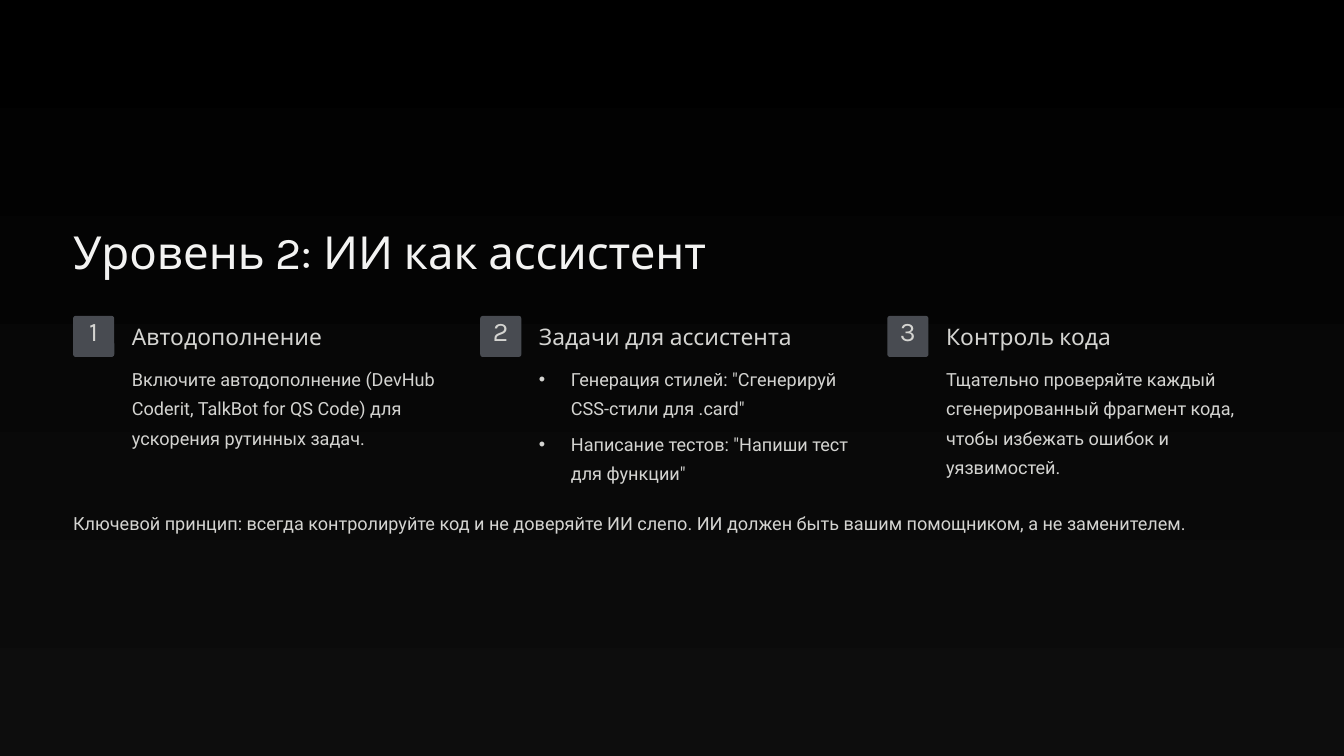
from dataclasses import dataclass

from lxml.etree import SubElement
from pptx import Presentation
from pptx.dml.color import RGBColor
from pptx.enum.shapes import MSO_SHAPE
from pptx.enum.text import MSO_ANCHOR, MSO_AUTO_SIZE, PP_ALIGN
from pptx.oxml.ns import qn
from pptx.shapes.base import BaseShape
from pptx.slide import Slide
from pptx.util import Inches, Pt


@dataclass(frozen=True)
class TextStyle:
    font: str
    size: float
    line: float
    color: str


@dataclass(frozen=True)
class Theme:
    top: str = "000000"
    bottom: str = "0D0D0D"
    badge: str = "484B51"
    title: TextStyle = TextStyle("Karla", 39, 48.5, "F3F3F2")
    number: TextStyle = TextStyle("Karla", 23, 23, "D4D4D1")
    heading: TextStyle = TextStyle("Karla", 19.5, 24, "D4D4D1")
    body: TextStyle = TextStyle("Roboto", 15.5, 25, "D4D4D1")


@dataclass(frozen=True)
class Step:
    heading: str
    lines: tuple[str, ...]
    bulleted: bool = False


THEME = Theme()

# Grid in inches: three equal columns between the side margins
WIDTH, HEIGHT = 16, 9
MARGIN = 0.87
CONTENT = WIDTH - 2 * MARGIN
GUTTER = 0.28
COLUMN = (CONTENT - 2 * GUTTER) / 3
BADGE = 0.49
TEXT_INDENT = 0.7
BULLET_INDENT = 0.38
TITLE_ROW, BADGE_ROW, HEADING_ROW, BODY_ROW, PRINCIPLE_ROW = 2.64, 3.76, 3.83, 4.3, 6.01

TITLE = "Уровень 2: ИИ как ассистент"
STEPS = (
    Step("Автодополнение",
         ("Включите автодополнение (DevHub Coderit, TalkBot for QS Code) "
          "для ускорения рутинных задач.",)),
    Step("Задачи для ассистента",
         ('Генерация стилей: "Сгенерируй CSS-стили для .card"',
          'Написание тестов: "Напиши тест для функции"'), bulleted=True),
    Step("Контроль кода",
         ("Тщательно проверяйте каждый сгенерированный фрагмент кода, "
          "чтобы избежать ошибок и уязвимостей.",)),
)
PRINCIPLE = ("Ключевой принцип: всегда контролируйте код и не доверяйте ИИ слепо. "
             "ИИ должен быть вашим помощником, а не заменителем.")


def place(shape: BaseShape, left: float, top: float, width: float, height: float) -> None:
    shape.left, shape.top = Inches(left), Inches(top)
    shape.width, shape.height = Inches(width), Inches(height)


def write(shape: BaseShape, *lines: str, style: TextStyle, align: PP_ALIGN = PP_ALIGN.LEFT,
          bulleted: bool = False, inset_top: float = 0) -> None:
    """Fill a shape with paragraphs in one style."""
    frame = shape.text_frame
    frame.word_wrap = True
    frame.auto_size = MSO_AUTO_SIZE.NONE
    frame.vertical_anchor = MSO_ANCHOR.TOP
    frame.margin_left = frame.margin_right = frame.margin_bottom = 0
    frame.margin_top = Inches(inset_top)
    for index, line in enumerate(lines):
        paragraph = frame.add_paragraph() if index else frame.paragraphs[0]
        paragraph.alignment = align
        paragraph.line_spacing = Pt(style.line)
        paragraph.space_before = Pt(5.5 if index else 0)
        paragraph.space_after = Pt(0)
        run = paragraph.add_run()
        run.text = line
        run.font.name, run.font.size, run.font.bold = style.font, Pt(style.size), False
        run.font.color.rgb = RGBColor.from_string(style.color)
        # Bullet and hanging indent
        properties = paragraph._p.get_or_add_pPr()
        indent = Inches(BULLET_INDENT) if bulleted else 0
        properties.set("marL", str(indent))
        properties.set("indent", str(-indent))
        if bulleted:
            SubElement(properties, qn("a:buChar")).set("char", "•")
        else:
            SubElement(properties, qn("a:buNone"))


def paint_background(slide: Slide) -> None:
    fill = slide.background.fill
    fill.gradient()
    fill.gradient_angle = 270
    for stop, color, position in zip(fill.gradient_stops, (THEME.top, THEME.bottom), (0, 1)):
        stop.color.rgb = RGBColor.from_string(color)
        stop.position = position


def draw_step(slide: Slide, number: int, step: Step, body: BaseShape) -> None:
    left = MARGIN + (number - 1) * (COLUMN + GUTTER)
    text_left, text_width = left + TEXT_INDENT, COLUMN - TEXT_INDENT

    # Numbered badge
    badge = slide.shapes.add_shape(MSO_SHAPE.ROUNDED_RECTANGLE, 0, 0, 0, 0)
    place(badge, left, BADGE_ROW, BADGE, BADGE)
    badge.adjustments[0] = 0.067
    badge.shadow.inherit = False
    badge.fill.solid()
    badge.fill.fore_color.rgb = RGBColor.from_string(THEME.badge)
    badge.line.fill.background()
    write(badge, str(number), style=THEME.number, align=PP_ALIGN.CENTER, inset_top=0.04)

    # Heading and description
    heading = slide.shapes.add_textbox(0, 0, 0, 0)
    place(heading, text_left, HEADING_ROW, text_width, 0.34)
    write(heading, step.heading, style=THEME.heading)
    place(body, text_left, BODY_ROW, text_width, 1.46)
    write(body, *step.lines, style=THEME.body, bulleted=step.bulleted)


def main() -> None:
    deck = Presentation()
    deck.slide_width, deck.slide_height = Inches(WIDTH), Inches(HEIGHT)
    comparison_layout = deck.slide_layouts[4]
    slide = deck.slides.add_slide(comparison_layout)
    paint_background(slide)

    title, *bodies, principle = slide.placeholders
    place(title, MARGIN, TITLE_ROW, CONTENT, 0.68)
    write(title, TITLE, style=THEME.title)

    for number, (step, body) in enumerate(zip(STEPS, bodies), start=1):
        draw_step(slide, number, step, body)

    # Key principle under the columns
    place(principle, MARGIN, PRINCIPLE_ROW, CONTENT, 0.35)
    write(principle, PRINCIPLE, style=THEME.body)

    deck.save("out.pptx")


if __name__ == "__main__":
    main()
